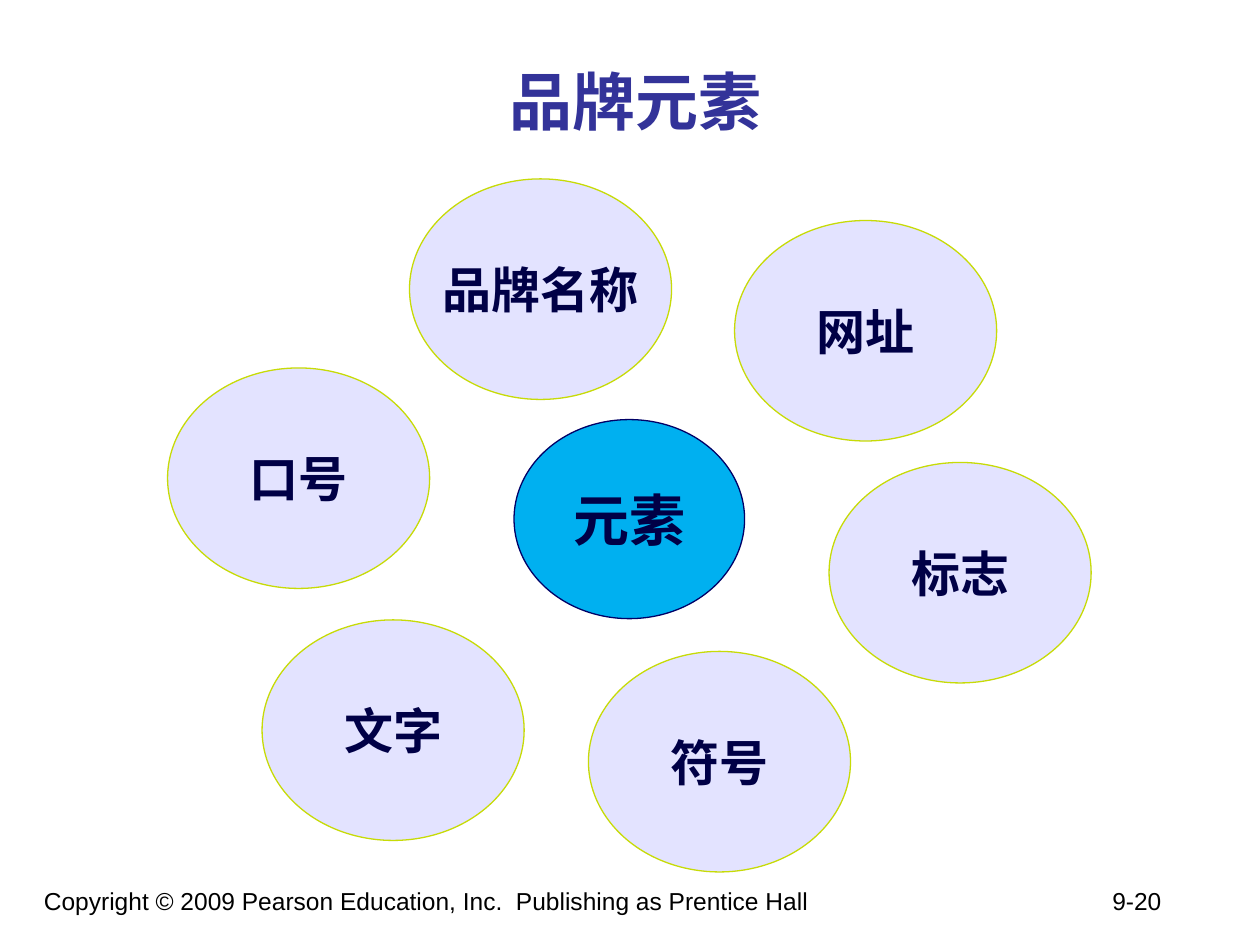
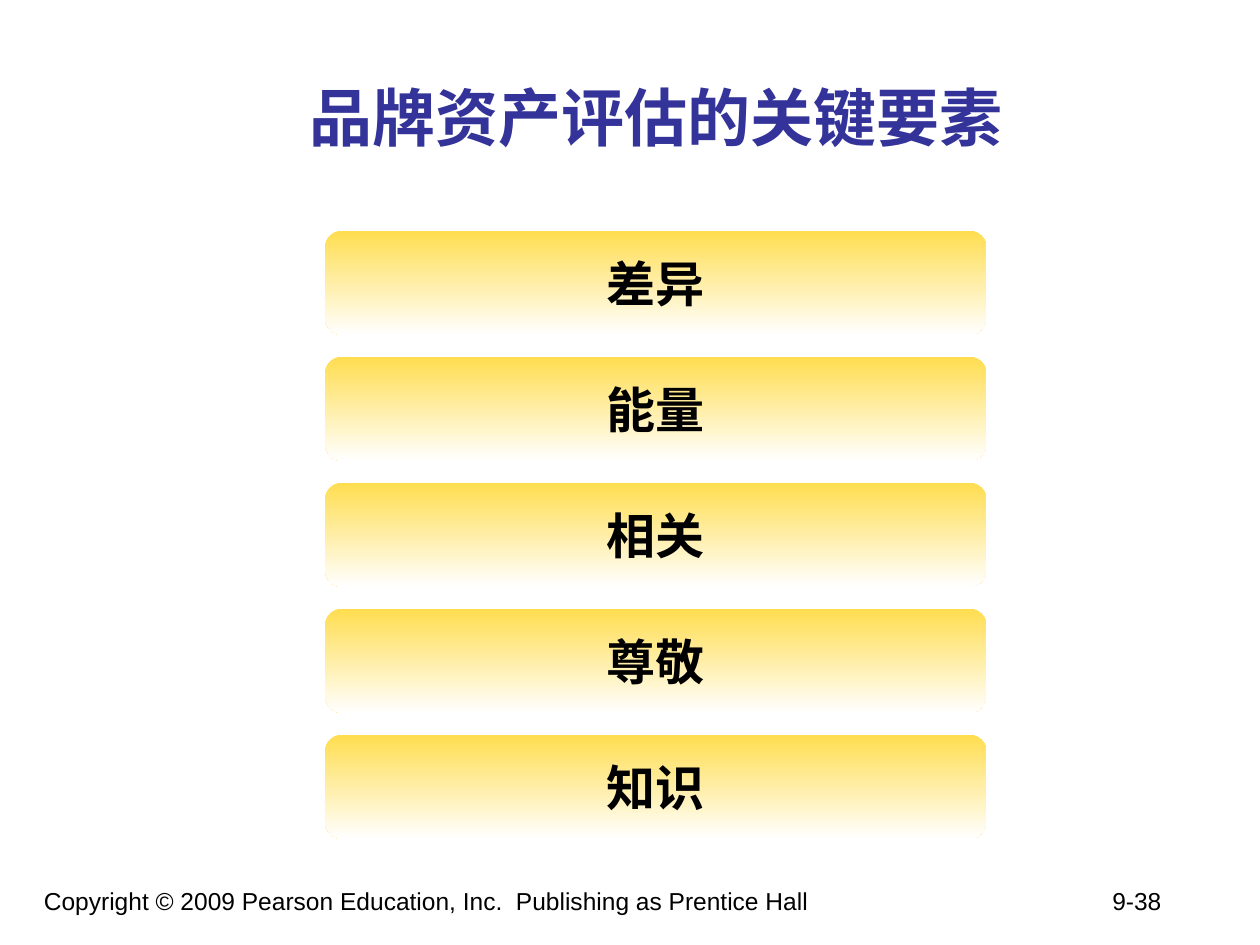
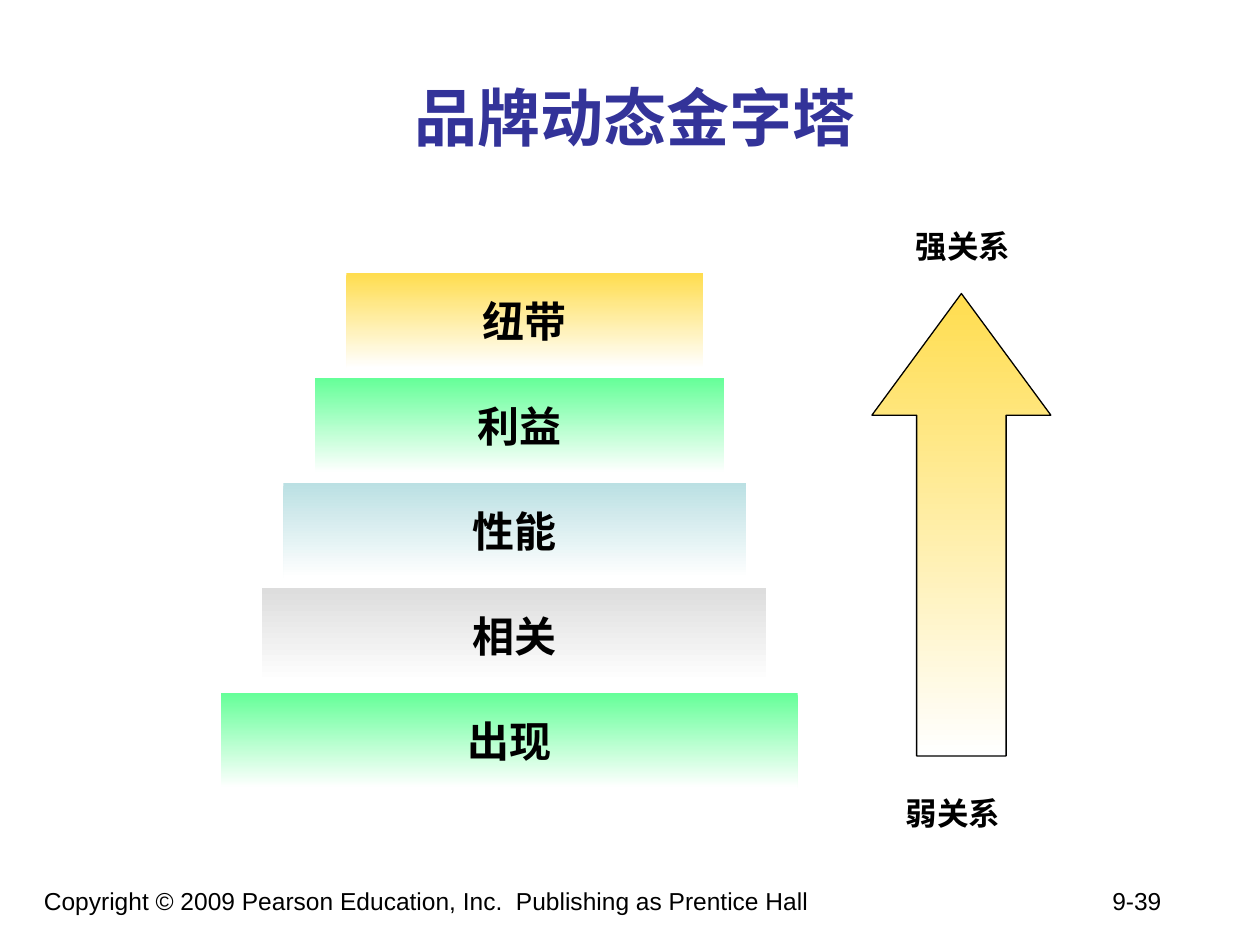
from pptx import Presentation
from pptx.dml.color import RGBColor
from pptx.enum.shapes import MSO_SHAPE
from pptx.enum.text import MSO_ANCHOR, MSO_AUTO_SIZE, PP_ALIGN
from pptx.oxml.ns import qn
from pptx.util import Inches, Pt
from lxml.etree import SubElement

COLORS = {
    "title": "333399", "black": "000000", "white": "FFFFFF",
    "core": "00B0F0", "core_line": "000066",
    "petal": "E3E3FF", "petal_line": "C7DB07", "navy": "000046",
    "gold": "FFDD4F", "green": "66FF99", "teal": "BBE0E3", "grey": "DDDDDD",
}
LATIN_FONT = "Arial"
CHINESE_FONT = "Noto Sans CJK SC"
COPYRIGHT = "Copyright © 2009 Pearson Education, Inc.  Publishing as Prentice Hall"
PAGE_NUMBER_TAB = 8.87


def color(name):
    """Return the named palette colour."""
    return RGBColor.from_string(COLORS[name])


def write(frame, text, size=28, ink="black", bold=True, font=LATIN_FONT,
          align=PP_ALIGN.CENTER, anchor=MSO_ANCHOR.MIDDLE, wrap=False, tab=None):
    """Put one formatted paragraph into a text frame."""
    frame.auto_size = MSO_AUTO_SIZE.NONE
    frame.word_wrap = wrap
    frame.vertical_anchor = anchor
    paragraph = frame.paragraphs[0]
    paragraph.alignment = align
    if tab:
        stops = SubElement(paragraph._p.get_or_add_pPr(), qn("a:tabLst"))
        SubElement(stops, qn("a:tab"), pos=str(Inches(tab)), algn="r")
    run = paragraph.add_run()
    run.text = text
    run.font.name = font
    run.font.size = Pt(size)
    run.font.bold = bold
    run.font.color.rgb = color(ink)
    SubElement(run._r.get_or_add_rPr(), qn("a:ea"), typeface=CHINESE_FONT)


def add_label(slide, text, left, top, width, height, **style):
    """Add a text box aligned to its top left corner."""
    label = slide.shapes.add_textbox(*map(Inches, (left, top, width, height)))
    write(label.text_frame, text, align=PP_ALIGN.LEFT, anchor=MSO_ANCHOR.TOP, **style)


def add_titled_slide(deck, title, page, left=0.83, top=0.3, width=8.42):
    """Add a slide with its title and the shared footer."""
    slide = deck.slides.add_slide(deck.slide_layouts[5])
    heading = slide.shapes.title
    heading.left, heading.top = Inches(left), Inches(top)
    heading.width, heading.height = Inches(width), Inches(1.25)
    write(heading.text_frame, title, size=36, ink="title", font=CHINESE_FONT, wrap=True)
    add_label(slide, f"{COPYRIGHT}\t{page}", 0.25, 6.98, 9.33, 0.52,
              size=14, bold=False, wrap=True, tab=PAGE_NUMBER_TAB)
    return slide


def add_block(slide, kind, left, top, width, height, fill, line=None, fade=False):
    """Add a preset shape, filled flat or fading down to white."""
    block = slide.shapes.add_shape(kind, *map(Inches, (left, top, width, height)))
    block.shadow.inherit = False
    if fade:
        block.fill.gradient()
        block.fill.gradient_angle = 270
        for stop, name in zip(block.fill.gradient_stops, (fill, "white")):
            stop.color.rgb = color(name)
    else:
        block.fill.solid()
        block.fill.fore_color.rgb = color(fill)
    if line:
        block.line.color.rgb = color(line)
        block.line.width = Pt(0.75)
    else:
        block.line.fill.background()
    return block


def build_brand_elements(deck):
    """Build the core ellipse with the brand elements around it."""
    slide = add_titled_slide(deck, "品牌元素", "9-20", top=0.17)
    core = add_block(slide, MSO_SHAPE.OVAL, 4.08, 3.33, 1.83, 1.58, "core", "core_line")
    write(core.text_frame, "元素", size=32, ink="navy")
    elements = [
        ("口号", 1.33, 2.92), ("品牌名称", 3.25, 1.42), ("网址", 5.83, 1.75),
        ("标志", 6.58, 3.67), ("符号", 4.67, 5.17), ("文字", 2.08, 4.92),
    ]
    for name, left, top in elements:
        petal = add_block(slide, MSO_SHAPE.OVAL, left, top, 2.08, 1.75,
                          "petal", "petal_line")
        write(petal.text_frame, name, ink="navy")


def build_equity_factors(deck):
    """Build the stack of brand equity factors."""
    slide = add_titled_slide(deck, "品牌资产评估的关键要素", "9-38", left=1.17, width=8.08)
    for row, factor in enumerate(["差异", "能量", "相关", "尊敬", "知识"]):
        bar = add_block(slide, MSO_SHAPE.ROUNDED_RECTANGLE, 2.58, 1.83 + row,
                        5.25, 0.83, "gold", fade=True)
        write(bar.text_frame, factor)


def build_pyramid(deck):
    """Build the pyramid tiers and the relationship arrow."""
    slide = add_titled_slide(deck, "品牌动态金字塔", "9-39")
    tiers = [
        ("纽带", 2.75, 2.83, "gold"), ("利益", 2.5, 3.25, "green"),
        ("性能", 2.25, 3.67, "teal"), ("相关", 2.08, 4, "grey"),
        ("出现", 1.75, 4.58, "green"),
    ]
    for level, (name, left, width, fill) in enumerate(tiers):
        tier = add_block(slide, MSO_SHAPE.RECTANGLE, left, 2.17 + level * 5 / 6,
                         width, 0.75, fill, fade=True)
        write(tier.text_frame, name, size=24)
    strength = add_block(slide, MSO_SHAPE.UP_ARROW, 6.92, 2.33, 1.42, 3.67,
                         "gold", "black", fade=True)
    strength.adjustments[1] = 0.68
    add_label(slide, "强关系", 7.17, 1.75, 0.95, 0.4, size=18)
    add_label(slide, "弱关系", 7.09, 6.25, 0.95, 0.4, size=18)


def main():
    """Build the deck and save it."""
    deck = Presentation()
    deck.slide_width, deck.slide_height = Inches(10), Inches(7.5)
    build_brand_elements(deck)
    build_equity_factors(deck)
    build_pyramid(deck)
    deck.save("out.pptx")


if __name__ == "__main__":
    main()
